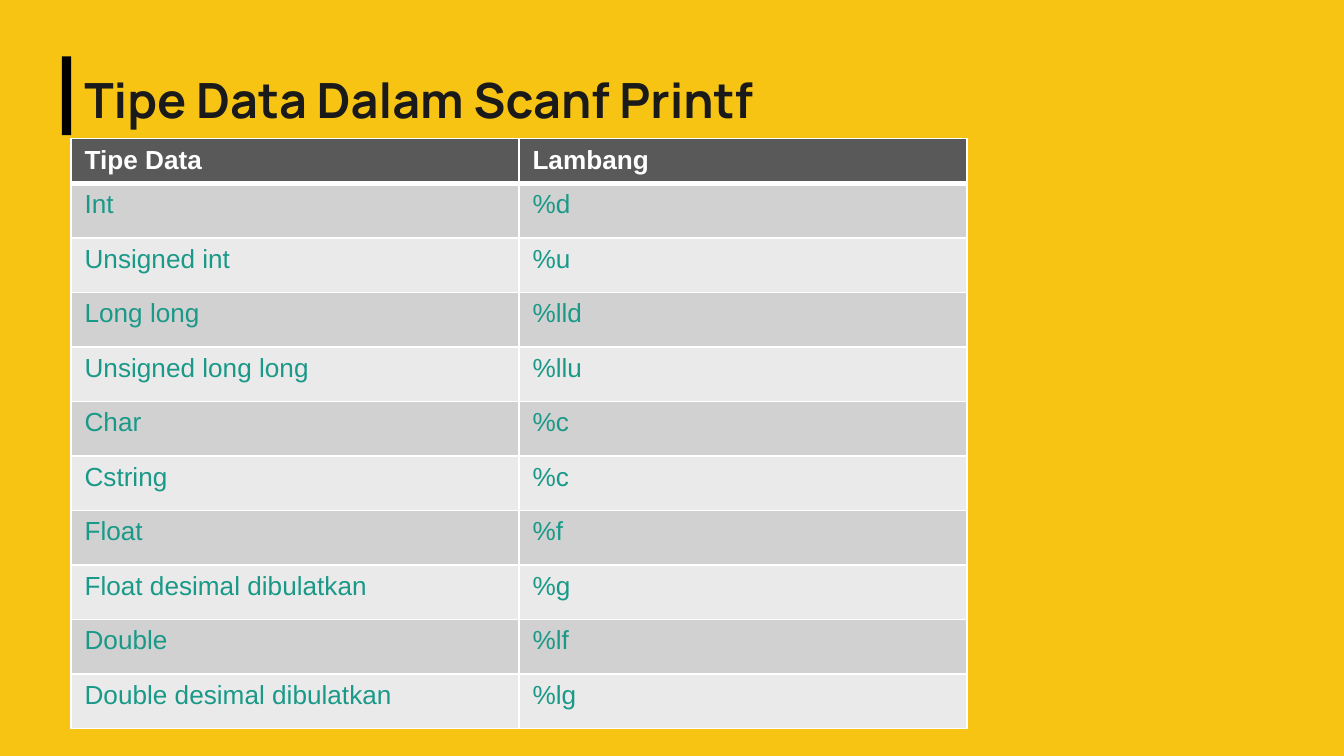
"""Build the slide listing the scanf and printf data type symbols."""
from lxml import etree
from pptx import Presentation
from pptx.dml.color import RGBColor
from pptx.enum.shapes import MSO_SHAPE
from pptx.enum.text import MSO_ANCHOR
from pptx.oxml.ns import qn
from pptx.util import Pt

RECTANGLE = MSO_SHAPE.RECTANGLE
TOP = MSO_ANCHOR.TOP
WHITE = "FFFFFF"
HEADER_FILL = "595959"
BAND_FILLS = ["EAEAEA", "D1D1D1"]
ROWS = [
    ("Tipe Data", "Lambang"),
    ("Int", "%d"),
    ("Unsigned int", "%u"),
    ("Long long", "%lld"),
    ("Unsigned long long", "%llu"),
    ("Char", "%c"),
    ("Cstring", "%c"),
    ("Float", "%f"),
    ("Float desimal dibulatkan", "%g"),
    ("Double", "%lf"),
    ("Double desimal dibulatkan", "%lg"),
]


def paint(color_format, color):
    color_format.rgb = RGBColor.from_string(color)


def add_run(paragraph, text, font_name, size, color, bold):
    run = paragraph.add_run()
    run.text = text
    run.font.name = font_name
    run.font.size = Pt(size)
    run.font.bold = bold
    paint(run.font.color, color)


presentation = Presentation()
presentation.slide_width = Pt(720)
presentation.slide_height = Pt(405)
slide = presentation.slides.add_slide(presentation.slide_layouts[6])
slide.background.fill.solid()
paint(slide.background.fill.fore_color, "F8C414")

accent_bar = slide.shapes.add_shape(RECTANGLE, Pt(33.2), Pt(30.2), Pt(4.9), Pt(42.2))
accent_bar.shadow.inherit = False
accent_bar.fill.solid()
paint(accent_bar.fill.fore_color, "000000")
accent_bar.line.fill.background()

title = slide.shapes.add_textbox(Pt(38.1), Pt(30.2), Pt(643.7), Pt(42.2))
title_frame = title.text_frame
title_frame.word_wrap = True
title_frame.vertical_anchor = TOP
title_frame.margin_left = title_frame.margin_right = Pt(7.2)
title_frame.margin_top = title_frame.margin_bottom = Pt(7.2)
add_run(title_frame.paragraphs[0], "Tipe Data Dalam Scanf Printf", "Manrope", 26, "1A1A1A", True)

table = slide.shapes.add_table(len(ROWS), 2, Pt(38.1), Pt(74.2), Pt(480), Pt(314.4)).table
for column in table.columns:
    column.width = Pt(240)

for row_index, texts in enumerate(ROWS):
    is_header = row_index == 0
    table.rows[row_index].height = Pt(22.4 if is_header else 29.2)
    for column_index, text in enumerate(texts):
        cell = table.cell(row_index, column_index)
        text_color = WHITE if is_header else "1A9988"
        add_run(cell.text_frame.paragraphs[0], text, "Arial", 14, text_color, is_header)
        properties = cell._tc.get_or_add_tcPr()
        for side in ("L", "R", "T", "B"):
            thick = (row_index, side) in ((0, "B"), (1, "T"))
            border = etree.SubElement(properties, qn(f"a:ln{side}"), w=str(Pt(3 if thick else 1)))
            border_fill = etree.SubElement(border, qn("a:solidFill"))
            etree.SubElement(border_fill, qn("a:srgbClr"), val=WHITE)
        cell.fill.solid()
        paint(cell.fill.fore_color, HEADER_FILL if is_header else BAND_FILLS[row_index % 2])

presentation.save("out.pptx")
